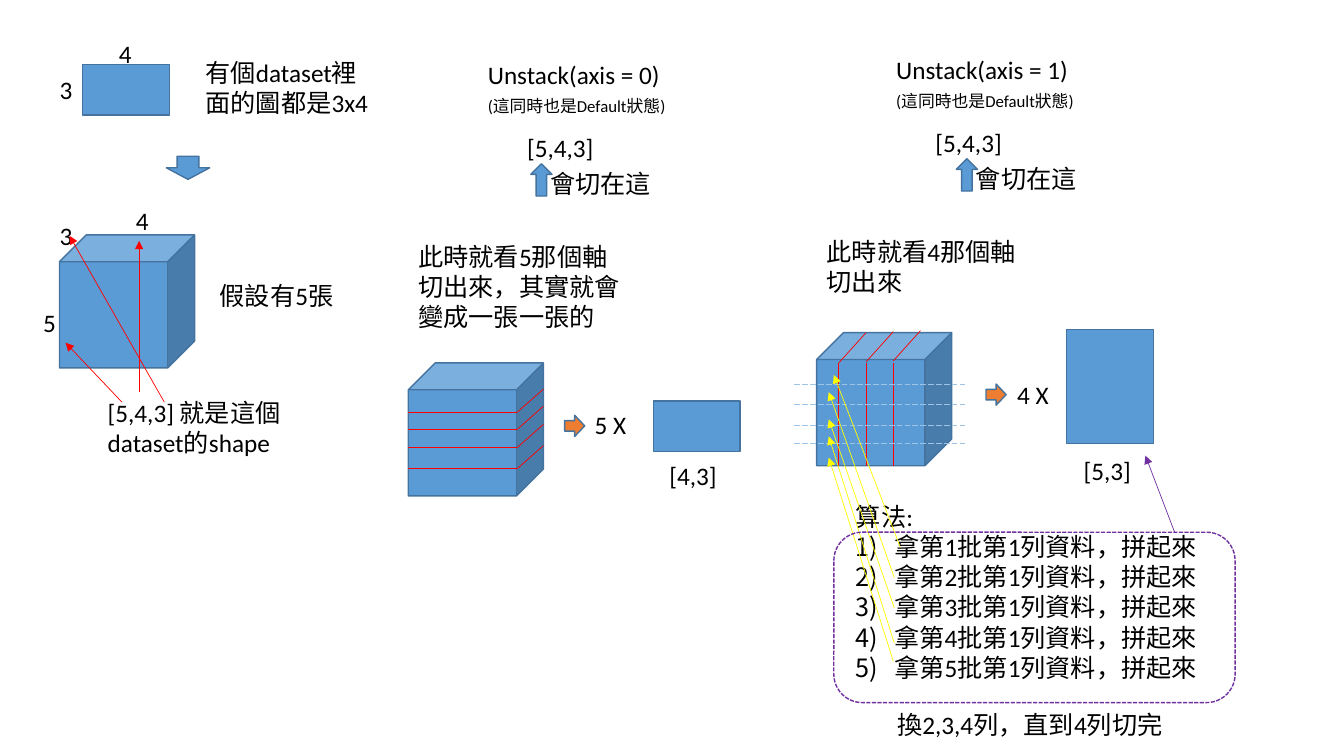
from lxml import etree
from pptx import Presentation
from pptx.dml.color import RGBColor
from pptx.enum import dml, shapes, text
from pptx.oxml.ns import qn
from pptx.util import Inches, Pt

BLUE = RGBColor(0x5B, 0x9B, 0xD5)
EDGE = RGBColor(0x43, 0x73, 0x9E)
ORANGE = RGBColor(0xED, 0x7D, 0x31)
RED = RGBColor(0xFF, 0x00, 0x00)
YELLOW = RGBColor(0xFF, 0xFF, 0x00)
PALE = RGBColor(0x9D, 0xC3, 0xE6)
PURPLE = RGBColor(0x70, 0x30, 0xA0)
BLACK = RGBColor(0, 0, 0)
KIND = shapes.MSO_SHAPE
DASH = dml.MSO_LINE


def add_run(para, words, size=18):
    run = para.add_run()
    run.text = words
    run.font.size = Pt(size)
    run.font.name = "Calibri"
    run.font.color.rgb = BLACK


def add_text(slide, x, y, w, words, h=0.4, size=18):
    box = slide.shapes.add_textbox(Inches(x), Inches(y), Inches(w), Inches(h))
    frame = box.text_frame
    frame.word_wrap = True
    frame.auto_size = text.MSO_AUTO_SIZE.SHAPE_TO_FIT_TEXT
    add_run(frame.paragraphs[0], words, size)
    return frame


def add_block(slide, kind, x, y, w, h, fill=BLUE, edge=EDGE):
    block = slide.shapes.add_shape(kind, Inches(x), Inches(y), Inches(w), Inches(h))
    block.shadow.inherit = False
    if fill is None:
        block.fill.background()
    else:
        block.fill.solid()
        block.fill.fore_color.rgb = fill
    block.line.color.rgb = edge
    block.line.width = Pt(1)
    return block


def add_cube(slide, x, y):
    cube = add_block(slide, KIND.CUBE, x, y, 1.34, 1.32)
    cube.adjustments[0] = 0.202


def add_line(slide, x1, y1, x2, y2, color=RED, arrow=False, dash=None):
    line = slide.shapes.add_connector(
        shapes.MSO_CONNECTOR.STRAIGHT, Inches(x1), Inches(y1), Inches(x2), Inches(y2))
    line.line.color.rgb = color
    line.line.width = Pt(0.5)
    if dash is not None:
        line.line.dash_style = dash
    if arrow:
        etree.SubElement(line.line._get_or_add_ln(), qn("a:tailEnd"), type="triangle")
    etree.SubElement(line._element.spPr, qn("a:effectLst"))


def add_dataset(slide, x, y):
    """Show one 3x4 image above the stack of five."""
    add_block(slide, KIND.RECTANGLE, x + 0.49, y + 0.31, 0.86, 0.5)
    add_text(slide, x + 1.61, y + 0.19, 1.82, "有個dataset裡面的圖都是3x4", h=0.71)
    add_block(slide, KIND.DOWN_ARROW, x + 1.32, y + 1.22, 0.43, 0.23)
    add_cube(slide, x + 0.26, y + 2)
    add_text(slide, x + 1.75, y + 2.4, 1.82, "假設有5張")
    for dx, dy, w, size in [(0.75, 0, 0.26, "4"), (0.2, 0.36, 0.16, "3"),
                            (0.92, 1.66, 0.26, "4"), (0.2, 1.81, 0.16, "3"),
                            (0, 2.67, 0.64, "5")]:
        add_text(slide, x + dx, y + dy, w, size)
    add_text(slide, x + 0.64, y + 3.56, 2.11, "[5,4,3] 就是這個dataset的shape", h=0.71)
    for x1, y1, x2, y2 in [(0.88, 3.66, 0.32, 3.07), (1.05, 3.56, 1.05, 2.06),
                           (1.3, 3.66, 0.36, 2.01)]:
        add_line(slide, x + x1, y + y1, x + x2, y + y2, arrow=True)


def add_head(slide, x, y, axis, mark, note, h):
    """Introduce one axis; mark is the offset of the arrow below the shape."""
    add_text(slide, x + 0.69, y, 2.38, f"Unstack(axis = {axis})")
    add_text(slide, x + 0.69, y + 0.36, 2.77, "(這同時也是Default狀態)", h=0.3, size=12)
    add_text(slide, x + 1.08, y + 0.72, 0.89, "[5,4,3]")
    arrow = add_block(slide, KIND.RIGHT_ARROW, x + mark, y + 1.14, 0.32, 0.21)
    arrow.rotation = 270
    add_text(slide, x + mark + 0.15, y + 1.08, 1.31, "會切在這")
    add_text(slide, x, y + 1.8, 2.25, note, h=h)


def add_rows(slide, x, y):
    """Cut the cube into five flat images."""
    add_cube(slide, x, y)
    for dy in (0.49, 0.66, 0.84, 1.05):
        add_line(slide, x, y + dy, x + 1.08, y + dy)
        add_line(slide, x + 1.08, y + dy, x + 1.34, y + dy - 0.23)
    add_block(slide, KIND.RIGHT_ARROW, x + 1.55, y + 0.52, 0.2, 0.21, ORANGE)
    add_text(slide, x + 1.75, y + 0.41, 0.68, "5 X")
    add_block(slide, KIND.RECTANGLE, x + 2.43, y + 0.38, 0.86, 0.5)
    add_text(slide, x + 2.49, y + 0.92, 0.71, "[4,3]")


def add_columns(slide, x, y):
    """Cut the cube into four upright slices."""
    add_cube(slide, x, y)
    for i in range(3):
        dx = x + 0.22 + 0.27 * i
        add_line(slide, dx, y + 0.3, dx, y + 1.32)
        add_line(slide, dx, y + 0.3 - 0.01 * i, dx + 0.27, y - 0.01 * i)
    for dy in (0.51, 0.71, 0.92, 1.1):
        add_line(slide, x - 0.22, y + dy, x + 1.48, y + dy, PALE, dash=DASH.LONG_DASH)
    add_block(slide, KIND.RIGHT_ARROW, x + 1.68, y + 0.51, 0.2, 0.21, ORANGE)
    add_text(slide, x + 1.89, y + 0.41, 0.68, "4 X")
    add_block(slide, KIND.RECTANGLE, x + 2.48, y - 0.03, 0.86, 1.13)
    add_text(slide, x + 2.55, y + 1.17, 0.71, "[5,3]")


def add_steps(slide, x, y):
    """List the algorithm and point each step at its row of the cube."""
    frame = add_text(slide, x, y, 3.98, "算法:", h=2.22)
    for i in range(1, 6):
        para = frame.add_paragraph()
        add_run(para, f"拿第{i}批第1列資料，拼起來")
        props = para._p.get_or_add_pPr()
        props.set("marL", str(Inches(0.38)))
        props.set("indent", str(-Inches(0.38)))
        etree.SubElement(props, qn("a:buFont"), typeface="+mj-lt")
        etree.SubElement(props, qn("a:buAutoNum"), type="arabicParenR")
    for x1, y1, x2, y2 in [(0.54, 0.51, -0.12, -1.2), (0.48, 0.81, -0.17, -1.03),
                           (0.48, 1.11, -0.17, -0.76), (0.48, 1.46, -0.17, -0.59),
                           (0.47, 1.64, -0.17, -0.38)]:
        add_line(slide, x + x1, y + y1, x + x2, y + y2, YELLOW, arrow=True)
    frame = add_block(slide, KIND.ROUNDED_RECTANGLE, x - 0.12, y + 0.36, 3.98, 1.69,
                      None, PURPLE)
    frame.line.dash_style = DASH.SQUARE_DOT
    add_line(slide, x + 3.26, y + 0.36, x + 2.97, y - 0.4, PURPLE, arrow=True)
    add_text(slide, x + 0.41, y + 2.07, 3.15, "換2,3,4列，直到4列切完")


def main():
    deck = Presentation()
    deck.slide_width, deck.slide_height = Inches(13.33), Inches(7.5)
    slide = deck.slides.add_slide(deck.slide_layouts[6])
    add_dataset(slide, 0.33, 0.33)
    add_head(slide, 4.05, 0.54, 0, 1.16, "此時就看5那個軸切出來，其實就會變成一張一張的", 1.31)
    add_rows(slide, 4.05, 3.6)
    add_head(slide, 8.1, 0.49, 1, 1.33, "此時就看4那個軸切出來", 1.01)
    add_columns(slide, 8.1, 3.3)
    add_steps(slide, 8.39, 4.92)
    deck.save("out.pptx")


if __name__ == "__main__":
    main()
